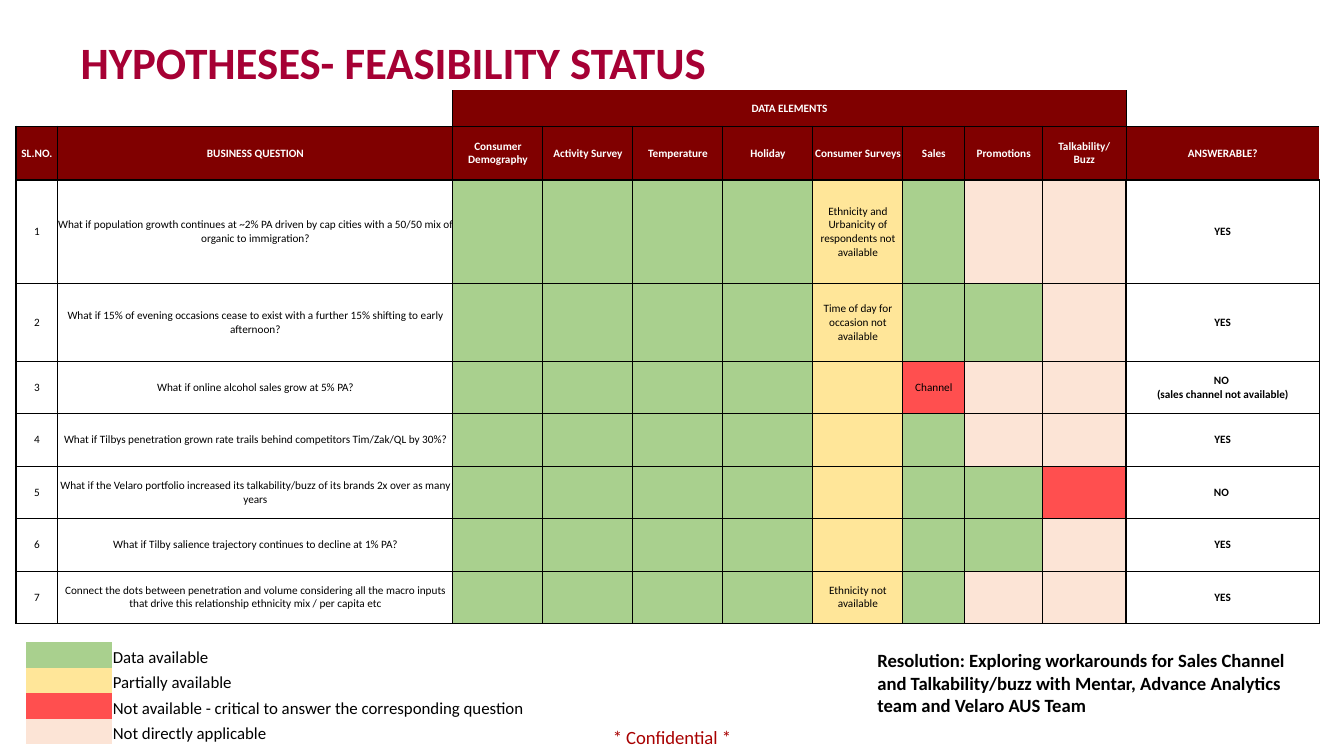
from lxml.etree import SubElement
from pptx import Presentation
from pptx.dml.color import RGBColor
from pptx.enum.text import MSO_ANCHOR as Anchor, PP_ALIGN as Align
from pptx.oxml.ns import qn
from pptx.util import Inches, Pt

COLORS = {
    "title": "A60034", "header": "800000", "footer": "A80000",
    "black": "000000", "white": "FFFFFF",
    "A": "A9D08E", "P": "FFE699", "X": "FF4F4F", "N": "FCE4D6",
}
FONT = "Calibri"
PLAIN_STYLE = "{2D5ABB26-0587-4C30-8999-92F81FD0307C}"  # no style, no grid

TITLE = "HYPOTHESES- FEASIBILITY STATUS"
RESOLUTION = ("Resolution: Exploring workarounds for Sales Channel and Talkability/buzz "
              "with Mentar, Advance Analytics team and Velaro AUS Team")
CONFIDENTIAL = "* Confidential *"
GROUP = "DATA ELEMENTS"
HEADERS = ["SL.NO.", "BUSINESS QUESTION", "Consumer Demography", "Activity Survey",
           "Temperature", "Holiday", "Consumer Surveys", "Sales", "Promotions",
           "Talkability/\vBuzz", "ANSWERABLE?"]
# question, status code of each data element, notes by header, answer
HYPOTHESES = [
    ("What if population growth continues at ~2% PA driven by cap cities with a 50/50 mix "
     "of organic to immigration?", "AAAAPANN",
     {"Consumer Surveys": "Ethnicity and Urbanicity of respondents not available"}, "YES"),
    ("What if 15% of evening occasions cease to exist with a further 15% shifting to early "
     "afternoon?", "AAAAPAAN",
     {"Consumer Surveys": "Time of day for occasion not available"}, "YES"),
    ("What if online alcohol sales grow at 5% PA?", "AAAAPXNN",
     {"Sales": "Channel"}, "NO \v(sales channel not available)"),
    ("What if Tilbys penetration grown rate trails behind competitors Tim/Zak/QL by 30%?",
     "AAAAPANN", {}, "YES"),
    ("What if the Velaro portfolio increased its talkability/buzz of its brands 2x over as "
     "many years", "AAAAPAAX", {}, "NO "),
    ("What if Tilby salience trajectory continues to decline at 1% PA?", "AAAAPAAN", {}, "YES"),
    ("Connect the dots between penetration and volume considering all the macro inputs that "
     "drive this relationship ethnicity mix / per capita etc", "AAAAPANN",
     {"Consumer Surveys": "Ethnicity not available"}, "YES"),
]
LEGEND = [
    ("A", "Data available"),
    ("P", "Partially available"),
    ("X", "Not available - critical to answer the corresponding question"),
    ("N", "Not directly applicable"),
]

COLUMNS = [0.31, 2.94] + [0.67] * 5 + [0.46, 0.58, 0.62, 1.44]
ROWS = [0.27, 0.4, 0.77, 0.58] + [0.39] * 5
FIRST_DATA, LAST = 2, len(COLUMNS) - 1
BOTTOM = len(ROWS) - 1


def style(paragraph, size, color, bold=False, align=Align.LEFT):
    paragraph.alignment = align
    for run in paragraph.runs:
        run.font.name, run.font.size, run.font.bold = FONT, Pt(size), bold
        run.font.color.rgb = RGBColor.from_string(COLORS[color])


def add_grid(slide, left, top, columns, rows):
    """Add a table without any built-in style."""
    frame = slide.shapes.add_table(len(rows), len(columns), Inches(left), Inches(top),
                                   Inches(sum(columns)), Inches(sum(rows)))
    grid = frame.table
    grid.first_row = grid.horz_banding = False
    grid._tbl.tblPr.find(qn("a:tableStyleId")).text = PLAIN_STYLE
    for column, width in zip(grid.columns, columns):
        column.width = Inches(width)
    for row, height in zip(grid.rows, rows):
        row.height = Inches(height)
    return grid


def fill_cell(cell, text, size, color="black", bold=False, align=Align.CENTER,
              fill=None, anchor=Anchor.MIDDLE, margin=0):
    cell.margin_left = cell.margin_right = cell.margin_top = Inches(margin)
    cell.margin_bottom = 0
    cell.vertical_anchor = anchor
    if text:
        cell.text_frame.text = text
        style(cell.text_frame.paragraphs[0], size, color, bold, align)
    else:  # keeps an empty cell from stretching its row
        SubElement(cell.text_frame.paragraphs[0]._p, qn("a:endParaRPr"), sz=str(size * 100))
    if fill:
        cell.fill.solid()
        cell.fill.fore_color.rgb = RGBColor.from_string(COLORS[fill])
    else:
        cell.fill.background()


def border_widths(row, col):
    """Return the left, right, top and bottom line widths; 0 means no line."""
    if row == 0:
        in_group = FIRST_DATA <= col < LAST
        return (0.5 if in_group else 0, 0.5 if col == 1 else 0, 0, 1)
    heavy_right = col == LAST or (row > 1 and col == LAST - 1)
    left = 1 if col == 0 or (row > 1 and col == LAST) else 0.5
    right = 0 if row == 1 and col == LAST else 1 if heavy_right else 0.5
    return left, right, 1 if row <= 2 else 0.5, 1 if row in (1, BOTTOM) else 0.5


def draw_borders(cell, widths):
    properties = cell._tc.get_or_add_tcPr()
    for side, width in zip("LRTB", widths):
        if width:
            line = SubElement(properties, qn(f"a:ln{side}"), w=str(Pt(width)))
            solid = SubElement(line, qn("a:solidFill"))
            SubElement(solid, qn("a:srgbClr"), val=COLORS["black"])


def add_feasibility(slide):
    grid = add_grid(slide, 0.12, 0.67, COLUMNS, ROWS)
    for row in range(len(ROWS)):
        for col in range(len(COLUMNS)):
            draw_borders(grid.cell(row, col), border_widths(row, col))
    grid.cell(0, FIRST_DATA).merge(grid.cell(0, LAST - 1))
    for col, header in enumerate(HEADERS):
        group = GROUP if col == FIRST_DATA else ""
        group_fill = "header" if FIRST_DATA <= col < LAST else None
        fill_cell(grid.cell(0, col), group, 6, "white", True, fill=group_fill)
        fill_cell(grid.cell(1, col), header, 6, "white", True, fill="header")
    for number, (question, statuses, notes, answer) in enumerate(HYPOTHESES, 1):
        row = number + 1
        fill_cell(grid.cell(row, 0), str(number), 6)
        fill_cell(grid.cell(row, 1), question, 6)
        for col, status in enumerate(statuses, FIRST_DATA):
            fill_cell(grid.cell(row, col), notes.get(HEADERS[col], ""), 6, fill=status)
        fill_cell(grid.cell(row, LAST), answer, 6, bold=True)


def add_legend(slide):
    grid = add_grid(slide, 0.19, 4.78, [0.64, 4.21], [0.19] * len(LEGEND))
    for row, (status, meaning) in enumerate(LEGEND):
        fill_cell(grid.cell(row, 0), "", 6, fill=status)
        fill_cell(grid.cell(row, 1), meaning, 9, align=Align.LEFT,
                  anchor=Anchor.BOTTOM, margin=0.01)


def add_note(slide, box, text, color, bold=False, align=Align.LEFT):
    frame = slide.shapes.add_textbox(*map(Inches, box)).text_frame
    frame.word_wrap = True
    frame.text = text
    style(frame.paragraphs[0], 10, color, bold, align)
    return frame


def main():
    deck = Presentation()
    deck.slide_width = Inches(10)
    deck.slide_height = deck.slide_width * 9 // 16
    slide = deck.slides.add_slide(deck.slide_layouts[5])

    footer = add_note(slide, (4.4, 5.34, 1.2, 0.29), CONFIDENTIAL, "footer",
                      align=Align.CENTER)
    footer.vertical_anchor = Anchor.MIDDLE
    footer.margin_left = footer.margin_right = 0
    footer.margin_top = footer.margin_bottom = 0
    add_note(slide, (6.43, 4.78, 3.4, 0.61), RESOLUTION, "black", bold=True)
    add_legend(slide)
    add_feasibility(slide)

    title = slide.shapes.title
    title.left, title.top = Inches(0.5), Inches(-0.01)
    title.width, title.height = Inches(7.81), Inches(0.94)
    title.text_frame.text = TITLE
    title.text_frame.vertical_anchor = Anchor.MIDDLE
    style(title.text_frame.paragraphs[0], 24, "title", bold=True)

    deck.save("out.pptx")


if __name__ == "__main__":
    main()
